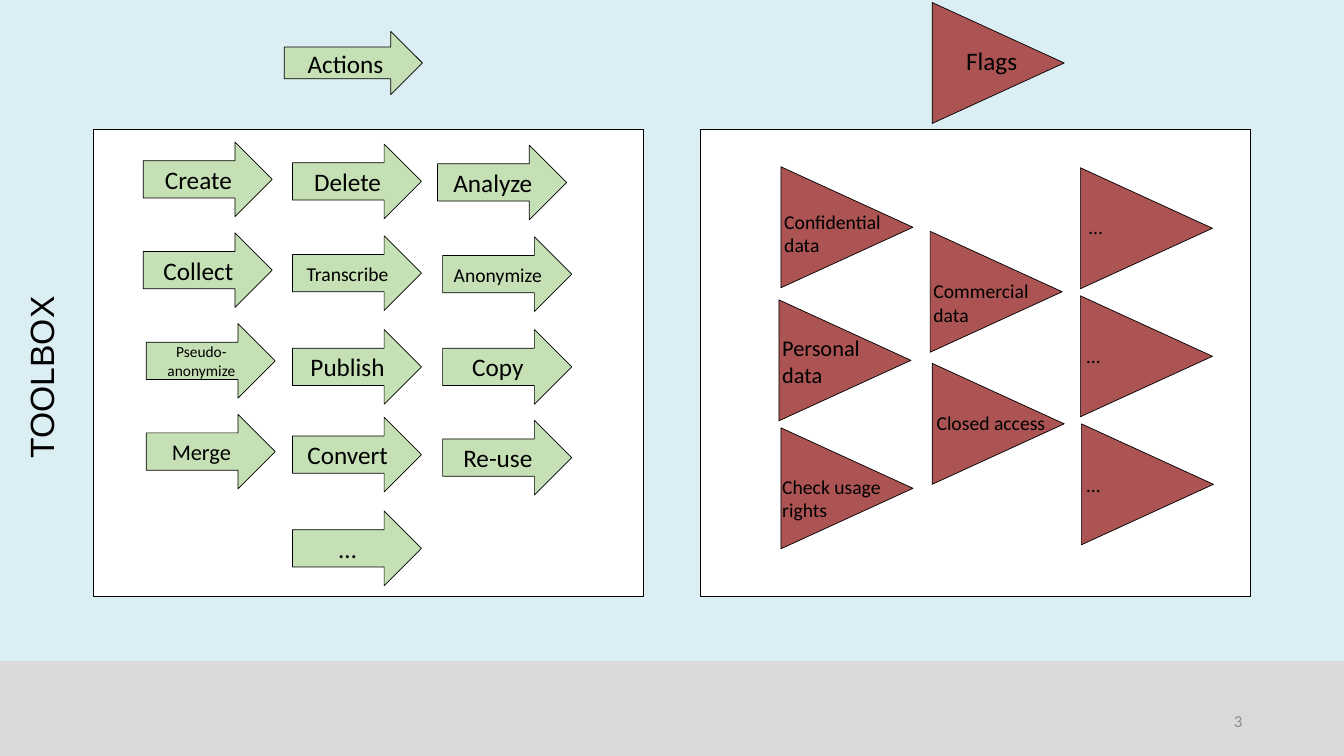
from pptx import Presentation
from pptx.dml.color import RGBColor
from pptx.enum.shapes import MSO_SHAPE
from pptx.enum.text import MSO_ANCHOR, PP_ALIGN
from pptx.util import Inches, Pt

RECT, ARROW, TRIANGLE = MSO_SHAPE.RECTANGLE, MSO_SHAPE.RIGHT_ARROW, MSO_SHAPE.ISOSCELES_TRIANGLE
TOP, MIDDLE = MSO_ANCHOR.TOP, MSO_ANCHOR.MIDDLE
LEFT, CENTER, RIGHT = PP_ALIGN.LEFT, PP_ALIGN.CENTER, PP_ALIGN.RIGHT

SKY = RGBColor(0xDB, 0xEE, 0xF4)
BAND = RGBColor(0xD9, 0xD9, 0xD9)
WHITE = RGBColor(0xFF, 0xFF, 0xFF)
BLACK = RGBColor(0, 0, 0)
GREEN = RGBColor(0xC5, 0xE0, 0xB4)
RED = RGBColor(0xAC, 0x54, 0x54)
GRAY = RGBColor(0x8C, 0x8C, 0x8C)

ACTION_W, ACTION_H = 1.28, 0.74
FLAG_W, FLAG_H = 1.2, 1.31

PANEL_LEFTS = [0.93, 6.95]
ACTIONS = [
    ("Create", 1.42, 1.41, 18), ("Collect", 1.42, 2.31, 18),
    ("Pseudo-anonymize", 1.45, 3.21, 11), ("Merge", 1.45, 4.11, 16),
    ("Delete", 2.9, 1.43, 18), ("Transcribe", 2.9, 2.34, 14),
    ("Publish", 2.9, 3.27, 18), ("Convert", 2.9, 4.14, 18), ("…", 2.9, 5.07, 18),
    ("Analyze", 4.34, 1.44, 18), ("Anonymize", 4.39, 2.35, 14),
    ("Copy", 4.39, 3.27, 18), ("Re-use", 4.39, 4.17, 18),
]
FLAGS = [
    ("Flags", (9.3, -0.03), (9.15, 0.4, 1.37, 0.4), 18, CENTER),
    ("Confidential data", (7.8, 1.6), (7.68, 2.03, 1.37, 0.57), 14, LEFT),
    ("Personal data", (7.78, 2.92), (7.66, 3.27, 1.37, 0.64), 16, LEFT),
    ("Check usage rights", (7.8, 4.19), (7.66, 4.66, 1.37, 0.57), 14, LEFT),
    ("Commercial\ndata", (9.28, 2.24), (9.16, 2.72, 1.37, 0.57), 14, LEFT),
    ("Closed access", (9.3, 3.55), (9.19, 4.03, 1.42, 0.34), 14, LEFT),
    ("…", (10.77, 1.61), (10.7, 2.08, 1.42, 0.34), 14, LEFT),
    ("…", (10.77, 2.88), (10.68, 3.36, 1.42, 0.34), 14, LEFT),
    ("…", (10.78, 4.15), (10.68, 4.64, 1.42, 0.34), 14, LEFT),
]

prs = Presentation()
prs.slide_width, prs.slide_height = Inches(13.33), Inches(7.5)
s = prs.slides.add_slide(prs.slide_layouts[5])
s.background.fill.solid()
s.background.fill.fore_color.rgb = SKY


def add_block(kind, box, color, outlined=True, rotation=0):
    sp = s.shapes.add_shape(kind, *map(Inches, box))
    sp.shadow.inherit = False
    sp.rotation = rotation
    sp.fill.solid()
    sp.fill.fore_color.rgb = color
    if outlined:
        sp.line.color.rgb = BLACK
        sp.line.width = Pt(0.5)
    else:
        sp.line.fill.background()
    return sp


def write(sp, text, size, align=CENTER, anchor=MIDDLE, font="Calibri", color=BLACK):
    tf = sp.text_frame
    tf.text = text
    tf.word_wrap = True
    tf.vertical_anchor = anchor
    for p in tf.paragraphs:
        p.alignment = align
        for name, value in {"name": font, "size": Pt(size)}.items():
            setattr(p.runs[0].font, name, value)
        p.runs[0].font.color.rgb = color


def add_label(text, box, size, align, **style):
    write(s.shapes.add_textbox(*map(Inches, box)), text, size, align, **style)


add_block(RECT, (0, 6.56, 13.33, 0.94), BAND, outlined=False)
for left in PANEL_LEFTS:
    add_block(RECT, (left, 1.28, 5.45, 4.64), WHITE)

title = s.shapes.title
for name, value in {"left": -1.81, "top": 3.53, "width": 4.5, "height": 0.43}.items():
    setattr(title, name, Inches(value))
title.rotation = 270
write(title, "TOOLBOX", 24, font="Arial")
title.text_frame.paragraphs[0].line_spacing = 0.8

write(add_block(ARROW, (2.82, 0.31, 1.37, 0.63), GREEN), "Actions", 18)
for text, x, y, size in ACTIONS:
    write(add_block(ARROW, (x, y, ACTION_W, ACTION_H), GREEN), text, size)

for text, corner, box, size, align in FLAGS:
    add_block(TRIANGLE, (*corner, FLAG_W, FLAG_H), RED, rotation=90)
    add_label(text, box, size, align, anchor=TOP)

add_label("3", (9.42, 6.95, 3, 0.4), 12, RIGHT, color=GRAY)

prs.save("out.pptx")
